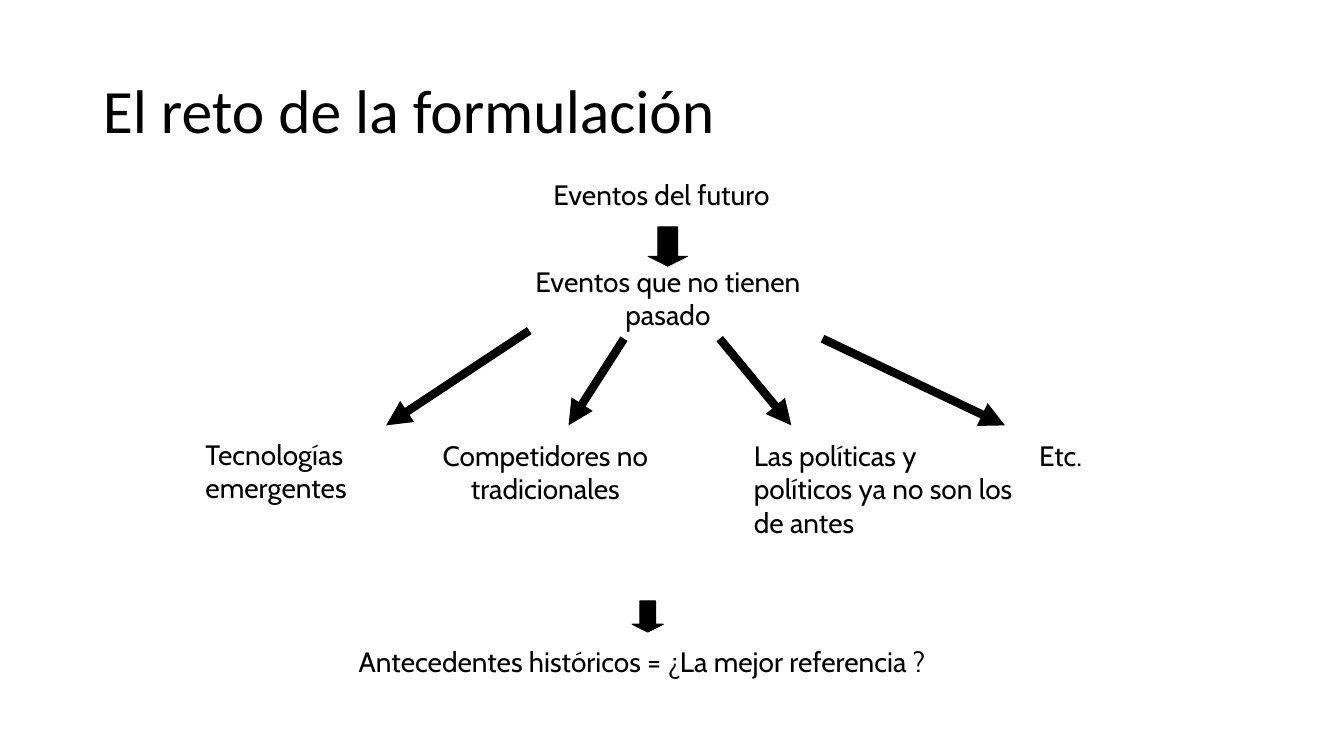
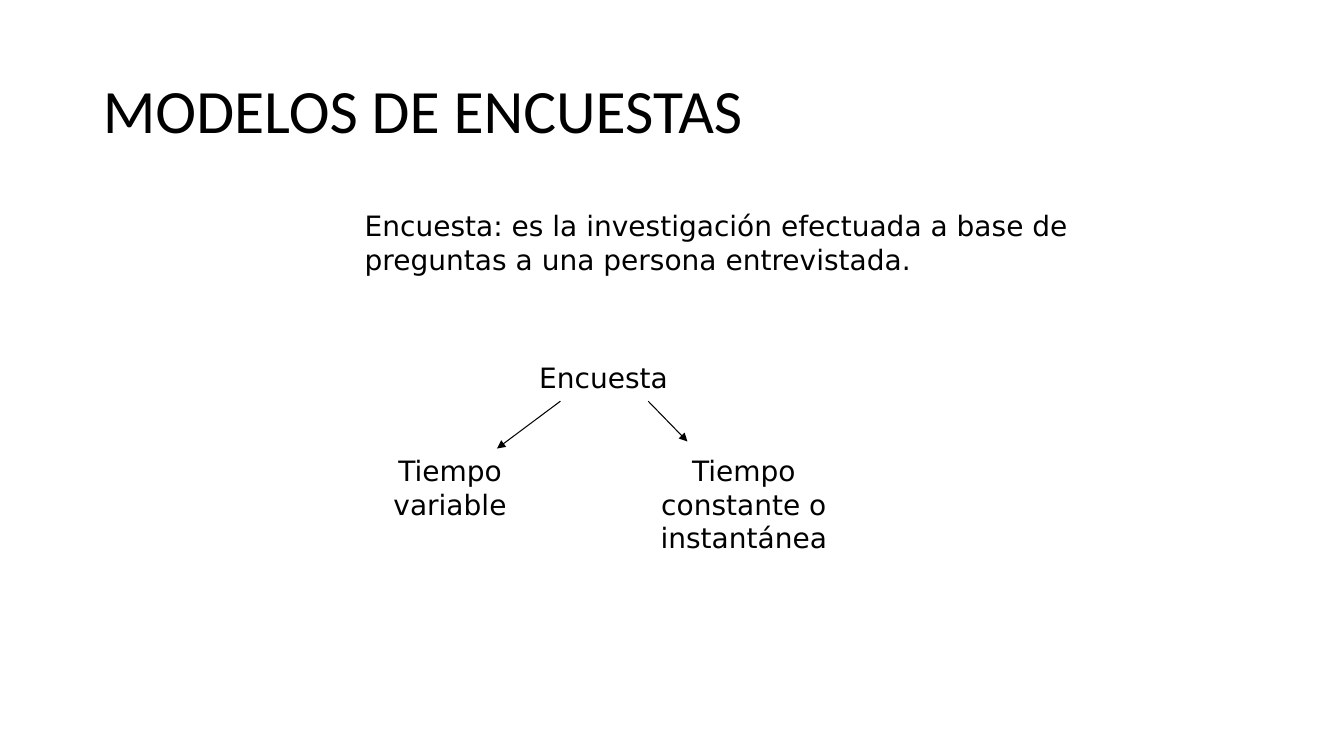
from dataclasses import dataclass

from lxml.etree import SubElement
from pptx import Presentation
from pptx.dml.color import RGBColor
from pptx.enum.shapes import MSO_CONNECTOR, MSO_SHAPE
from pptx.enum.text import MSO_ANCHOR, MSO_AUTO_SIZE, PP_ALIGN
from pptx.oxml.ns import qn
from pptx.util import Inches, Length, Pt

WIDTH, HEIGHT = 13.333, 7.5
INK = "000000"
TITLE_FONT = {"name": "Calibri", "size": Pt(44)}
LABEL_SIZE = Pt(20)
LINE_HEIGHT, INSETS = 0.335, 0.1
TITLE_ONLY = 5


# Positions and widths are percentages of the slide's width (x) and height (y).
@dataclass
class Label:
    text: str
    x: float
    y: float
    width: float
    lines: int = 1
    align: PP_ALIGN = PP_ALIGN.LEFT


@dataclass
class Arrow:
    x1: float
    y1: float
    x2: float
    y2: float


@dataclass
class BlockArrow:
    x: float
    y: float
    side: float


def px(share: float) -> Length:
    return Inches(WIDTH * share / 100)


def py(share: float) -> Length:
    return Inches(HEIGHT * share / 100)


def color(value: str) -> RGBColor:
    return RGBColor.from_string(value)


def apply_format(target, values: dict) -> None:
    for name, value in values.items():
        setattr(target, name, value)


def write(p, text: str, font: dict) -> None:
    r = p.add_run()
    r.text = text
    apply_format(r.font, font)
    r.font.color.rgb = color(INK)


def add_titled_slide(prs, title: str):
    s = prs.slides.add_slide(prs.slide_layouts[TITLE_ONLY])
    sp = s.shapes.title
    apply_format(sp, {"left": px(6.9), "top": py(5.33),
                      "width": px(86.25), "height": py(19.33)})
    tf = sp.text_frame
    apply_format(tf, {"vertical_anchor": MSO_ANCHOR.MIDDLE, "word_wrap": True,
                      "auto_size": MSO_AUTO_SIZE.NONE})
    p = tf.paragraphs[0]
    apply_format(p, {"alignment": PP_ALIGN.LEFT, "line_spacing": 0.9})
    write(p, title, TITLE_FONT)
    return s


def add_label(s, label: Label, font_name: str) -> None:
    height = Inches(INSETS + LINE_HEIGHT * label.lines)
    sp = s.shapes.add_textbox(px(label.x), py(label.y), px(label.width), height)
    tf = sp.text_frame
    apply_format(tf, {"word_wrap": True,
                      "auto_size": MSO_AUTO_SIZE.SHAPE_TO_FIT_TEXT})
    p = tf.paragraphs[0]
    p.alignment = label.align
    write(p, label.text, {"name": font_name, "size": LABEL_SIZE})


def add_arrow(s, arrow: Arrow, weight: float) -> None:
    line = s.shapes.add_connector(MSO_CONNECTOR.STRAIGHT, px(arrow.x1), py(arrow.y1),
                                  px(arrow.x2), py(arrow.y2))
    line.line.color.rgb = color(INK)
    line.line.width = Pt(weight)
    SubElement(line.line._get_or_add_ln(), qn("a:tailEnd"), type="triangle")
    SubElement(line._element.spPr, qn("a:effectLst"))


def add_block_arrow(s, block: BlockArrow) -> None:
    side = Inches(block.side)
    sp = s.shapes.add_shape(MSO_SHAPE.DOWN_ARROW, px(block.x), py(block.y), side, side)
    sp.adjustments[0], sp.adjustments[1] = 0.5, 0.25
    sp.shadow.inherit = False
    sp.fill.solid()
    sp.fill.fore_color.rgb = color(INK)
    sp.line.color.rgb = color(INK)
    sp.line.width = Pt(0.75)


def build_challenge(prs) -> None:
    s = add_titled_slide(prs, "El reto de la formulación")
    row = 57.33
    labels = [
        Label("Eventos del futuro", 40.43, 22.8, 18.9),
        Label("Eventos que no tienen pasado", 37.28, 34.27, 24.83, 2, PP_ALIGN.CENTER),
        Label("Tecnologías emergentes", 14.55, 57.2, 19.5, 2),
        Label("Competidores no tradicionales", 29.93, row, 21.3, 2, PP_ALIGN.CENTER),
        Label("Las políticas y políticos ya no son los de antes", 55.35, row, 21.3, 3),
        Label("Etc.", 76.58, row, 6.53),
        Label("Antecedentes históricos = ¿La mejor referencia ?", 25.95, 84.53, 47.85),
    ]
    for label in labels:
        add_label(s, label, "Cabin")
    for block in (BlockArrow(48.23, 30, 0.39), BlockArrow(47.03, 79.47, 0.31)):
        add_block_arrow(s, block)
    tip = 56.27
    for arrow in (Arrow(39.38, 43.73, 28.73, tip), Arrow(46.43, 44.8, 42.3, tip),
                  Arrow(53.55, 44.8, 58.88, tip), Arrow(61.2, 44.8, 74.78, tip)):
        add_arrow(s, arrow, 6)


def build_surveys(prs) -> None:
    s = add_titled_slide(prs, "MODELOS DE ENCUESTAS")
    row = 59.33
    labels = [
        Label("Encuesta: es la investigación efectuada a base de preguntas "
              "a una persona entrevistada.", 26.4, 26.93, 54.9, 2),
        Label("Encuesta", 39.38, 47.07, 12.38),
        Label("Tiempo variable", 27, row, 12.98, 2, PP_ALIGN.CENTER),
        Label("Tiempo constante o instantánea", 45.3, row, 20.1, 3, PP_ALIGN.CENTER),
    ]
    for label in labels:
        add_label(s, label, "DejaVu Sans")
    for arrow in (Arrow(41.7, 53.07, 36.98, row), Arrow(48.23, 53.07, 51.15, 58.4)):
        add_arrow(s, arrow, 0.75)


def main() -> None:
    prs = Presentation()
    prs.slide_width, prs.slide_height = Inches(WIDTH), Inches(HEIGHT)
    build_challenge(prs)
    build_surveys(prs)
    prs.save("out.pptx")


if __name__ == "__main__":
    main()
